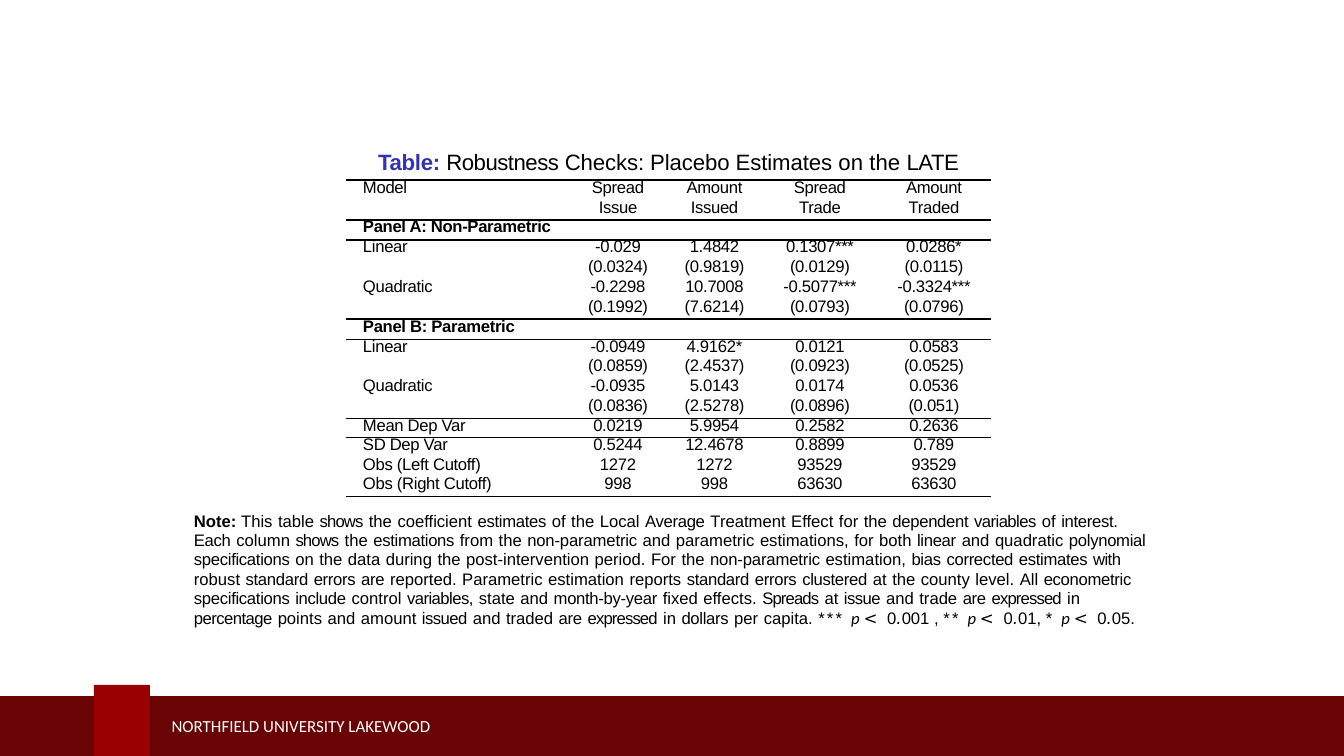
from lxml.etree import SubElement
from pptx import Presentation
from pptx.dml.color import RGBColor
from pptx.enum.shapes import MSO_SHAPE
from pptx.enum.text import MSO_ANCHOR, MSO_AUTO_SIZE, PP_ALIGN
from pptx.oxml import parse_xml
from pptx.oxml.ns import nsdecls, qn
from pptx.util import Pt

THEME = {
    "black": RGBColor(0x00, 0x00, 0x00),
    "white": RGBColor(0xFF, 0xFF, 0xFF),
    "blue": RGBColor(0x33, 0x33, 0xB2),
    "maroon": RGBColor(0x69, 0x03, 0x04),
    "crimson": RGBColor(0x99, 0x00, 0x00),
    "title": Pt(8),
    "text": Pt(6),
    "footer": Pt(6.1),
    "font": "Arial",
}
NO_TABLE_STYLE = "{2D5ABB26-0587-4C30-8999-92F81FD0307C}"


def px(length):
    """Turn pixels, 199.7 to the inch, into EMU."""
    return length * 4579


def add_run(paragraph, text, spacing=0, color="black", **font_format):
    """Add formatted text; spacing is in hundredths of a point."""
    run = paragraph.add_run()
    run.text = text
    run.font.color.rgb = THEME[color]
    values = {"name": THEME["font"], "size": THEME["text"], "bold": False, "italic": False}
    for name, value in (values | font_format).items():
        setattr(run.font, name, value)
    run._r.get_or_add_rPr().set("spc", str(spacing))


presentation = Presentation()
presentation.slide_width, presentation.slide_height = px(1344), px(756)
slide = presentation.slides.add_slide(presentation.slide_layouts[1])
title, note = slide.placeholders

# Footer band
for color, box in (("maroon", (-4, 696, 1356, 68)), ("crimson", (94, 685, 56, 78))):
    bar = slide.shapes.add_shape(MSO_SHAPE.RECTANGLE, *map(px, box))
    bar.shadow.inherit = False
    bar.fill.solid()
    bar.fill.fore_color.rgb = THEME[color]
    bar.line.fill.background()

footer = slide.shapes.add_textbox(*map(px, (152, 706, 531, 40)))
footer.text_frame.word_wrap = True
footer.text_frame.vertical_anchor = MSO_ANCHOR.MIDDLE
add_run(footer.text_frame.paragraphs[0], "NORTHFIELD UNIVERSITY LAKEWOOD", color="white",
        name="Calibri", size=THEME["footer"])

# Title and note frames
for shape, box, inset, before in (
    (title, (376, 146, 593, 30), 2, 0.9),
    (note, (192, 507, 961, 122), 4, 1.4),
):
    shape.left, shape.top, shape.width, shape.height = map(px, box)
    frame_format = {
        "margin_left": 0, "margin_top": px(inset), "margin_right": 0, "margin_bottom": 0,
        "vertical_anchor": MSO_ANCHOR.TOP, "word_wrap": True, "auto_size": MSO_AUTO_SIZE.NONE,
    }
    for name, value in frame_format.items():
        setattr(shape.text_frame, name, value)
    paragraph = shape.text_frame.paragraphs[0]
    paragraph.alignment = PP_ALIGN.LEFT
    paragraph.space_before = Pt(before)
    properties = paragraph._p.get_or_add_pPr()
    properties.set("marL", str(px(2)))
    properties.set("indent", "0")
    SubElement(properties, qn("a:buNone"))

title_paragraph = title.text_frame.paragraphs[0]
add_run(title_paragraph, "Table: ", -10, "blue", bold=True, size=THEME["title"])
for text, spacing in (("Robustness ", -20), ("Checks: Placebo Estimates ", -5),
                      ("on the ", 0), ("LATE", -20)):
    add_run(title_paragraph, text, spacing, size=THEME["title"])

# Results table
ROWS = [
    ("Model", "Spread\nIssue", "Amount\nIssued", "Spread\nTrade", "Amount\nTraded"),
    ("Panel A: Non-Parametric", "", "", "", ""),
    ("Linear", "-0.029", "1.4842", "0.1307***", "0.0286*"),
    ("", "(0.0324)", "(0.9819)", "(0.0129)", "(0.0115)"),
    ("Quadratic", "-0.2298", "10.7008", "-0.5077***", "-0.3324***"),
    ("", "(0.1992)", "(7.6214)", "(0.0793)", "(0.0796)"),
    ("Panel B: Parametric", "", "", "", ""),
    ("Linear", "-0.0949", "4.9162*", "0.0121", "0.0583"),
    ("", "(0.0859)", "(2.4537)", "(0.0923)", "(0.0525)"),
    ("Quadratic", "-0.0935", "5.0143", "0.0174", "0.0536"),
    ("", "(0.0836)", "(2.5278)", "(0.0896)", "(0.051)"),
    ("Mean Dep Var", "0.0219", "5.9954", "0.2582", "0.2636"),
    ("SD Dep Var", "0.5244", "12.4678", "0.8899", "0.789"),
    ("Obs (Left Cutoff)", "1272", "1272", "93529", "93529"),
    ("Obs (Right Cutoff)", "998", "998", "63630", "63630"),
]
RULES = {0, 1, 6, 11, len(ROWS)}  # row edges that carry a line

table_frame = slide.shapes.add_table(len(ROWS), 5, *map(px, (346, 180, 645, 313)))
table = table_frame.table
table.first_row = table.horz_banding = False
table._tbl.tblPr.find(qn("a:tableStyleId")).text = NO_TABLE_STYLE
for column, width in zip(table.columns, (224, 96, 97, 114, 114)):
    column.width = px(width)

for row_index, row in enumerate(ROWS):
    table.rows[row_index].height = px(40) if row_index == 0 else px(273) // (len(ROWS) - 1)
    for column_index, text in enumerate(row):
        cell = table.cell(row_index, column_index)
        cell.margin_left = cell.margin_right = cell.margin_top = cell.margin_bottom = 0
        cell.fill.background()
        cell_properties = cell._tc.get_or_add_tcPr()
        for side, edge in (("lnB", row_index + 1), ("lnT", row_index)):
            if edge in RULES:
                cell_properties.insert(0, parse_xml(
                    f'<a:{side} {nsdecls("a")} w="6350"><a:solidFill>'
                    f'<a:srgbClr val="{THEME["black"]}"/></a:solidFill></a:{side}>'))
        for line_index, line in enumerate(text.split("\n")):
            frame = cell.text_frame
            paragraph = frame.add_paragraph() if line_index else frame.paragraphs[0]
            paragraph.line_spacing = Pt(7.1 if line_index else 6.2 if row_index == 0 else 6)
            if column_index:
                paragraph.alignment = PP_ALIGN.CENTER
            else:
                paragraph._p.get_or_add_pPr().set("marL", str(px(17)))
            if line:
                add_run(paragraph, line, -10, bold=line.startswith("Panel"))
            else:
                SubElement(paragraph._p, qn("a:endParaRPr"), sz="600")

# Note, with some words set tighter than the rest and slightly wide word gaps
NOTE = (
    "This table shows the coefficient estimates of the Local Average Treatment Effect for the "
    "dependent variables of interest. Each column shows the estimations from the non-parametric "
    "and parametric estimations, for both linear and quadratic polynomial specifications on the "
    "data during the post-intervention period. For the non-parametric estimation, bias corrected "
    "estimates with robust standard errors are reported. Parametric estimation reports standard "
    "errors clustered at the county level. All econometric specifications include control "
    "variables, state and month-by-year fixed effects. Spreads at issue and trade are expressed "
    "in percentage points and amount issued and traded are expressed in dollars per capita."
)
WORD_GAP = 30
TIGHT_WORDS = {
    -30: "shows Spreads expressed",
    -20: "variables variables, with issue issued percentage",
    -10: "estimates Average dependent interest. Each estimations linear polynomial specifications "
         "bias corrected standard errors are clustered econometric include month-by-year dollars",
    -5: "non-parametric",
}
word_spacing = {word: spacing for spacing, words in TIGHT_WORDS.items() for word in words.split()}

note_paragraph = note.text_frame.paragraphs[0]
note_paragraph.line_spacing = Pt(7)
add_run(note_paragraph, "Note: ", bold=True)
for word in NOTE.split():
    add_run(note_paragraph, word, word_spacing.get(word, 0))
    add_run(note_paragraph, " ", WORD_GAP)
for stars, decimals in (("*** ", "001 , "), ("** ", "01, "), ("* ", "05.")):
    add_run(note_paragraph, stars, 80)
    add_run(note_paragraph, "p ", name="Calibri", italic=True)
    add_run(note_paragraph, "< ", 80, name="DejaVu Sans", italic=True)
    add_run(note_paragraph, "0")
    add_run(note_paragraph, ".", name="DejaVu Sans", italic=True)
    add_run(note_paragraph, decimals)

presentation.save("out.pptx")
